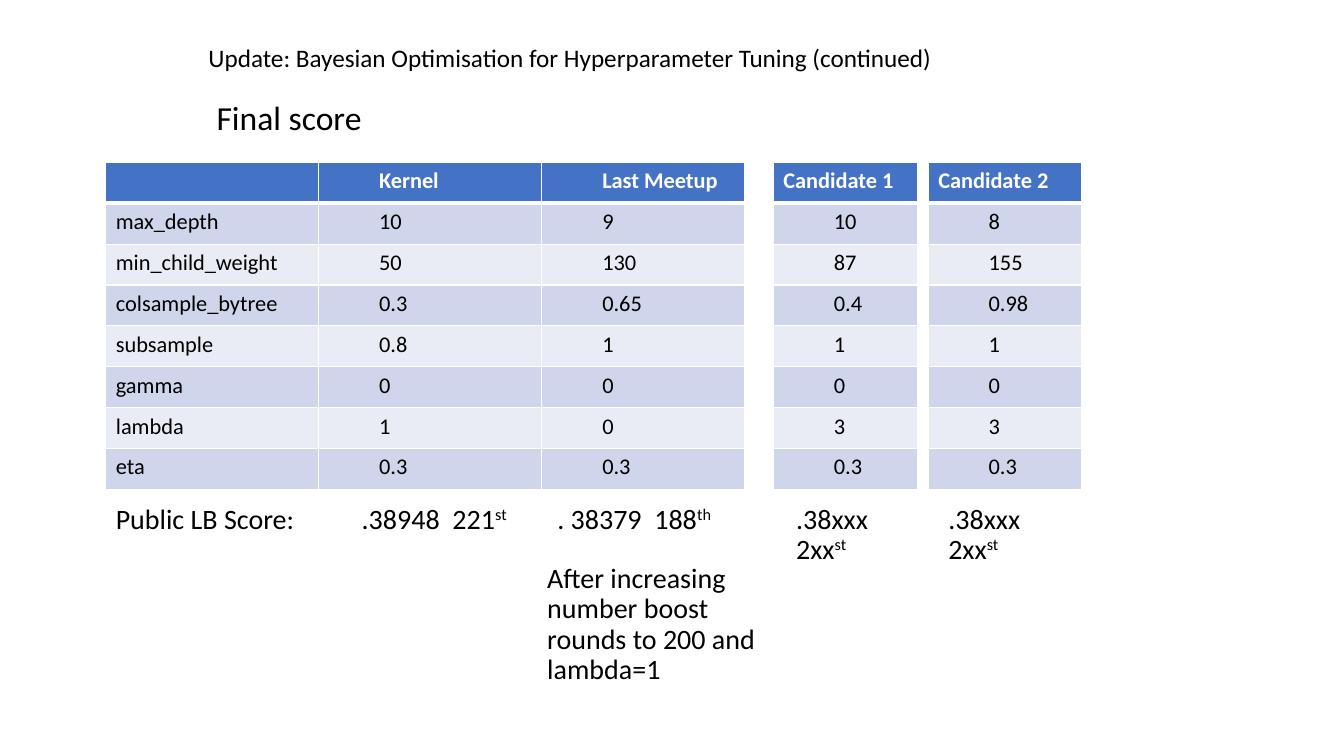
from dataclasses import dataclass

from lxml.etree import SubElement
from pptx import Presentation
from pptx.dml.color import RGBColor as RGB
from pptx.oxml.ns import qn
from pptx.slide import Slide
from pptx.table import _Cell as Cell
from pptx.util import Pt


@dataclass(frozen=True)
class Theme:
    font: str = "Calibri"
    ink: str = "000000"
    white: str = "FFFFFF"
    header: str = "4472C4"
    bands: tuple[str, str] = ("CFD5EA", "E9EBF5")
    title: float = 18
    heading: float = 24
    note: float = 20
    cell: float = 16
    thin: float = 1
    thick: float = 3


@dataclass(frozen=True)
class Label:
    left: float
    top: float
    width: float
    height: float
    text: str
    size: float
    ordinal: str = ""


@dataclass(frozen=True)
class Column:
    width: float
    header: str
    values: tuple[str, ...]
    indent: float = 36
    header_indent: float = 36


@dataclass(frozen=True)
class Grid:
    left: float
    columns: tuple[Column, ...]


THEME = Theme()
GRID_TOP = 116
ROW_HEIGHT = 29.2
SCORE_TOP = 357.1
SCORE_HEIGHT = 42.5

GRIDS = (
    Grid(75.6, (
        Column(152, "", ("max_depth", "min_child_weight", "colsample_bytree",
                         "subsample", "gamma", "lambda", "eta"), indent=0),
        Column(159.4, "Kernel", ("10", "50", "0.3", "0.8", "0", "1", "0.3")),
        Column(144.6, "Last Meetup", ("9", "130", "0.65", "1", "0", "0", "0.3")),
    )),
    Grid(552.4, (
        Column(103, "Candidate 1", ("10", "87", "0.4", "1", "0", "3", "0.3"),
               header_indent=0),
    )),
    Grid(663, (
        Column(109.6, "Candidate 2", ("8", "155", "0.98", "1", "0", "3", "0.3"),
               header_indent=0),
    )),
)


def score(left: float, width: float, text: str, ordinal: str = "") -> Label:
    return Label(left, SCORE_TOP, width, SCORE_HEIGHT, text, THEME.note, ordinal)


LABELS = (
    Label(141.8, 28.8, 757.4, 37.4,
          "Update: Bayesian Optimisation for Hyperparameter Tuning (continued)",
          THEME.title),
    Label(147.6, 69.1, 190, 42.5, "Final score", THEME.heading),
    score(75.6, 190, "Public LB Score:"),
    score(251.3, 120.2, ".38948  221", "st"),
    score(391, 137.5, ". 38379  188", "th"),
    score(561.6, 96.5, ".38xxx  2xx", "st"),
    score(670.3, 96.5, ".38xxx  2xx", "st"),
    Label(383.8, 399.6, 185, 95.8,
          "After increasing number boost rounds to 200 and lambda=1", THEME.note),
)


def add_run(p, text: str, *, size: float, color: str = THEME.ink,
            bold: bool = False, raised: bool = False) -> None:
    r = p.add_run()
    r.text = text
    r.font.name = THEME.font
    r.font.size = Pt(size)
    r.font.bold = bold
    r.font.color.rgb = RGB.from_string(color)
    if raised:
        r.font._element.set("baseline", "30000")


def add_label(s: Slide, label: Label) -> None:
    sp = s.shapes.add_textbox(Pt(label.left), Pt(label.top),
                              Pt(label.width), Pt(label.height))
    tf = sp.text_frame
    tf.word_wrap = True
    p = tf.paragraphs[0]
    p.line_spacing = 0.9
    p.space_before = Pt(10)
    add_run(p, label.text, size=label.size)
    if label.ordinal:
        add_run(p, label.ordinal, size=label.size, raised=True)


def set_borders(cell: Cell, top: float, bottom: float) -> None:
    tc_pr = cell._tc.get_or_add_tcPr()
    widths = {"L": THEME.thin, "R": THEME.thin, "T": top, "B": bottom}
    for i, (side, width) in enumerate(widths.items()):
        ln = SubElement(tc_pr, qn(f"a:ln{side}"), w=str(Pt(width)))
        fill = SubElement(ln, qn("a:solidFill"))
        SubElement(fill, qn("a:srgbClr"), val=THEME.white)
        tc_pr.insert(i, ln)


def fill_cell(cell: Cell, row: int, text: str, indent: float) -> None:
    is_header = row == 0
    cell.fill.solid()
    cell.fill.fore_color.rgb = RGB.from_string(
        THEME.header if is_header else THEME.bands[(row - 1) % 2])
    set_borders(cell, top=THEME.thick if row == 1 else THEME.thin,
                bottom=THEME.thick if is_header else THEME.thin)
    if not text:
        return
    p = cell.text_frame.paragraphs[0]
    if indent:
        p.level = 1
        p._p.get_or_add_pPr().set("marL", str(Pt(indent)))
    add_run(p, text, size=THEME.cell, bold=is_header,
            color=THEME.white if is_header else THEME.ink)


def add_grid(s: Slide, grid: Grid) -> None:
    rows = len(grid.columns[0].values) + 1
    width = sum(column.width for column in grid.columns)
    table = s.shapes.add_table(rows, len(grid.columns), Pt(grid.left), Pt(GRID_TOP),
                               Pt(width), Pt(ROW_HEIGHT * rows)).table
    for row in table.rows:
        row.height = Pt(ROW_HEIGHT)
    for j, column in enumerate(grid.columns):
        table.columns[j].width = Pt(column.width)
        for i, text in enumerate((column.header, *column.values)):
            indent = column.indent if i else column.header_indent
            fill_cell(table.cell(i, j), i, text, indent)


def main() -> None:
    prs = Presentation()
    prs.slide_width, prs.slide_height = Pt(960), Pt(540)
    s = prs.slides.add_slide(prs.slide_layouts[6])
    for grid in GRIDS:
        add_grid(s, grid)
    for label in LABELS:
        add_label(s, label)
    prs.save("out.pptx")


if __name__ == "__main__":
    main()
